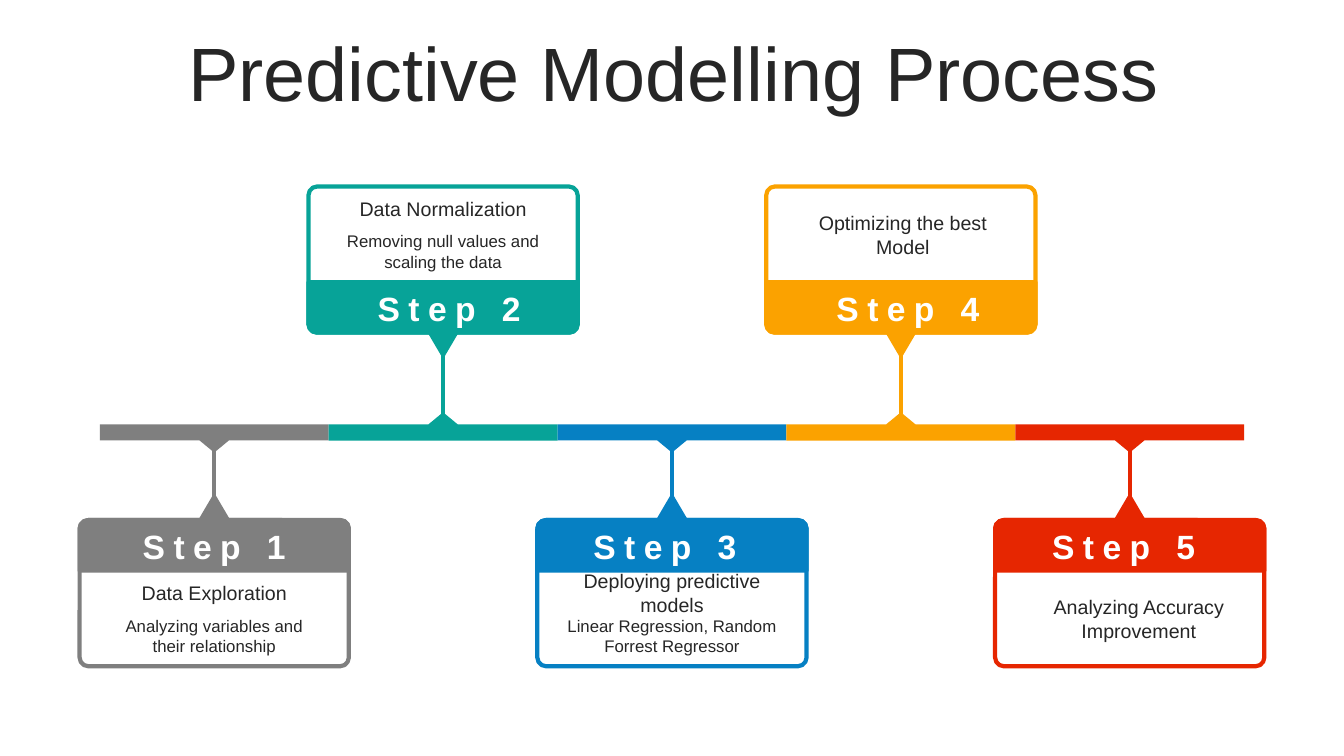
from pptx import Presentation
from pptx.dml.color import RGBColor
from pptx.enum.shapes import MSO_CONNECTOR, MSO_SHAPE
from pptx.enum.text import MSO_ANCHOR, MSO_AUTO_SIZE, PP_ALIGN
from pptx.oxml.ns import qn
from pptx.util import Inches, Pt
from lxml.etree import SubElement

HUES = {"grey": "7F7F7F", "teal": "07A398", "blue": "0680C3",
        "amber": "FBA200", "red": "E62601", "ink": "262626", "white": "FFFFFF"}

# Grid: square cells, ten to the inch
START, PITCH = 9.9, 22.7
WIDE, TALL, BAND = 26.7, 14.5, 5
TEXT = 22.9

# Hue, heading, note, label shift, heading shift
STEPS = [
    ("grey", "Data Exploration", "Analyzing variables and their relationship", 0, 0),
    ("teal", "Data Normalization", "Removing null values and scaling the data", 0.6, 0),
    ("blue", "Deploying predictive models",
     "Linear Regression, Random Forrest Regressor", -0.7, 0),
    ("amber", "Optimizing the best Model", None, 0.7, 0.2),
    ("red", "Analyzing Accuracy Improvement", None, -0.6, 0.9),
]


def cell(count):
    return Inches(count / 10)


def tint(hue):
    return RGBColor.from_string(HUES[hue])


def style(para, size, hue, bold=False):
    para.alignment = PP_ALIGN.CENTER
    font = para.font
    font.name, font.size, font.bold = "Arial", Pt(size), bold
    font.color.rgb = tint(hue)


def title(slide, text):
    head = slide.shapes.title
    head.left, head.top, head.width, head.height = map(cell, (3.5, 3.7, 126.6, 7.9))
    frame = head.text_frame
    frame.text = text
    frame.word_wrap = True
    frame.auto_size = MSO_AUTO_SIZE.NONE
    frame.vertical_anchor = MSO_ANCHOR.MIDDLE
    para = frame.paragraphs[0]
    para.line_spacing = 0.9
    style(para, 54, "ink")


def words(slide, text, mid, top, wide, tall, size, hue="ink",
          anchor=MSO_ANCHOR.TOP, bold=False):
    box = slide.shapes.add_textbox(*map(cell, (mid - wide / 2, top, wide, tall)))
    frame = box.text_frame
    frame.word_wrap = True
    frame.vertical_anchor = anchor
    frame.text = text
    style(frame.paragraphs[0], size, hue, bold)
    return frame.paragraphs[0]


def block(slide, kind, mid, top, wide, tall, fill, line, flip=False):
    shape = slide.shapes.add_shape(
        kind, *map(cell, (mid - wide / 2, top, wide, tall)))
    shape.shadow.inherit = False
    shape.fill.solid()
    shape.fill.fore_color.rgb = tint(fill)
    shape.line.color.rgb = tint(line)
    shape.line.width = Pt(3)
    shape.rotation = 180 if flip else 0
    return shape


def ribbon(slide, mid, hue, up):
    """Draw one stretch of the time line, with its notch towards the card."""
    half, notch = PITCH / 2, 1.45
    flat, edge, tip = (43.7, 42.1, 40.9) if up else (42.1, 43.7, 44.9)
    spots = [(-half, flat), (half, flat), (half, edge), (notch, edge),
             (0, tip), (-notch, edge), (-half, edge)]
    path = [(cell(mid + x), cell(y)) for x, y in spots]
    build = slide.shapes.build_freeform(*path[0])
    build.add_line_segments(path[1:], close=True)
    shape = build.convert_to_shape()
    shape.shadow.inherit = False
    shape.fill.solid()
    shape.fill.fore_color.rgb = tint(hue)
    shape.line.fill.background()


def stem(slide, mid, start, end, hue):
    line = slide.shapes.add_connector(
        MSO_CONNECTOR.STRAIGHT, *map(cell, (mid, start, mid, end)))
    line.line.color.rgb = tint(hue)
    line.line.width = Pt(3)
    SubElement(line._element.spPr, qn("a:effectLst"))


def card(slide, mid, hue, up):
    top = 18.5 if up else 51.6
    band = top + TALL - BAND if up else top
    frame = block(slide, MSO_SHAPE.ROUNDED_RECTANGLE, mid, top, WIDE, TALL, "white", hue)
    frame.adjustments[0] = 0.06
    block(slide, MSO_SHAPE.ROUND_2_SAME_RECTANGLE, mid, band, WIDE, BAND, hue, hue, up)
    tip = 32.9 if up else 49.3
    block(slide, MSO_SHAPE.ISOSCELES_TRIANGLE, mid, tip, 2.7, 2.3, hue, hue, up)
    return band, (top if up else top + BAND)


def step(slide, index, hue, head, note, nudge, shift):
    mid = START + PITCH * (index + 0.5)
    up = index % 2 == 1
    ribbon(slide, mid, hue, up)
    band, body = card(slide, mid, hue, up)
    stem(slide, mid, *((35.3, 42.1) if up else (43.7, 50.6)), hue)

    # Label on the band, with wide letter spacing
    label = words(slide, f"Step {index + 1}", mid + nudge, band + 0.1,
                  19.3, BAND, 24, "white", bold=True)
    label.runs[0].font._element.set("spc", "600")

    # Heading, and the note below it
    tall = 5.7
    centre = body + (2.2 if note else 4.8)
    words(slide, head, mid + shift, centre - tall / 2, TEXT, tall, 14,
          anchor=MSO_ANCHOR.MIDDLE)
    if note:
        words(slide, note, mid, body + 3.95, TEXT, 5, 12)


def main():
    deck = Presentation()
    deck.slide_width, deck.slide_height = Inches(13.33), Inches(7.5)
    slide = deck.slides.add_slide(deck.slide_layouts[5])
    title(slide, "Predictive Modelling Process")
    for index, parts in enumerate(STEPS):
        step(slide, index, *parts)
    deck.save("out.pptx")


if __name__ == "__main__":
    main()
